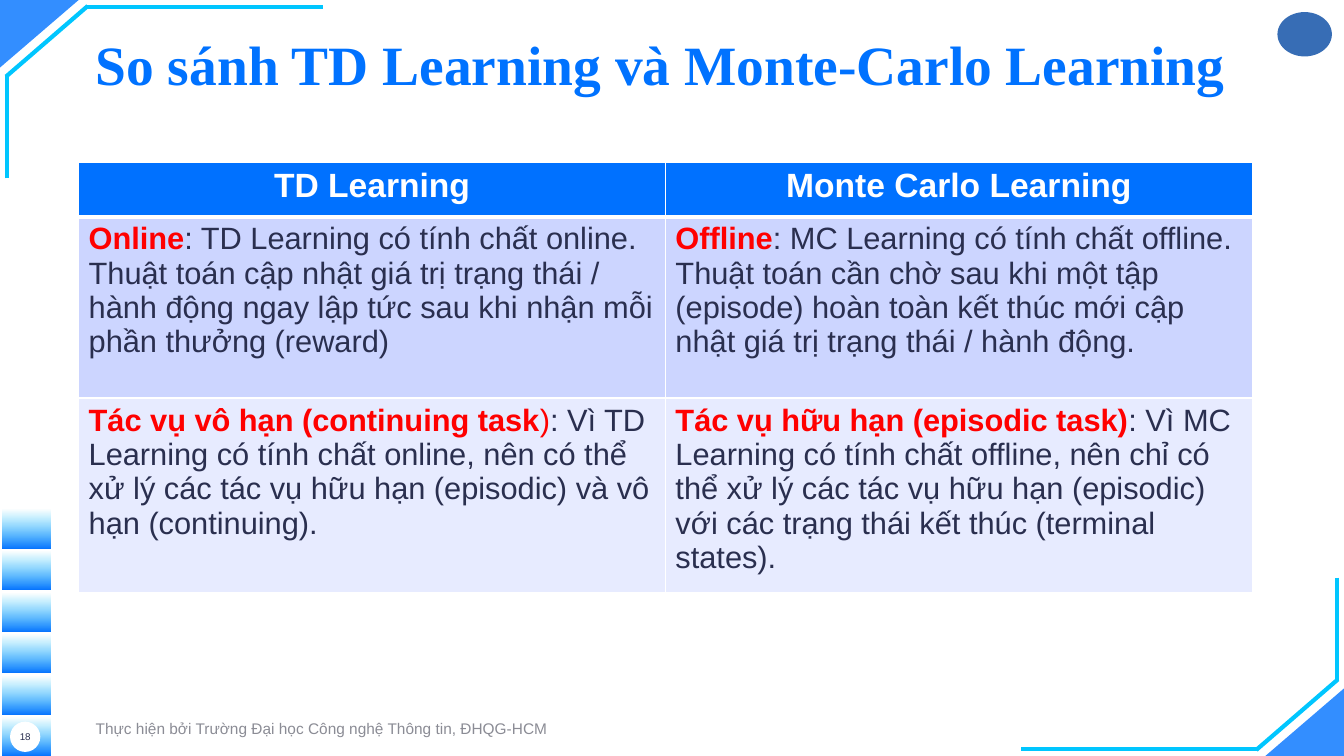
from lxml import etree
from pptx import Presentation
from pptx.dml.color import RGBColor
from pptx.enum.shapes import MSO_CONNECTOR, MSO_SHAPE
from pptx.enum.text import MSO_ANCHOR, PP_ALIGN
from pptx.oxml.ns import qn
from pptx.util import Inches, Pt

SLIDE_W, SLIDE_H = 13.33, 7.5
BLUE = RGBColor(0x00, 0x72, 0xFF)
CYAN = RGBColor(0x00, 0xC6, 0xFF)
LOGO_BLUE = RGBColor(0x37, 0x6D, 0xB5)
WHITE = RGBColor(0xFF, 0xFF, 0xFF)
INK = RGBColor(0x2A, 0x2F, 0x4F)
GREY = RGBColor(0x8B, 0x8C, 0x95)
RED = RGBColor(0xFF, 0x00, 0x00)
HEADER_FILL = RGBColor(0x00, 0x71, 0xFF)
ROW_FILLS = [RGBColor(0xCC, 0xD5, 0xFF), RGBColor(0xE7, 0xEB, 0xFF)]

HEADINGS = ["TD Learning", "Monte Carlo Learning"]
# Each cell is a list of (text, colour, bold) runs.
COMPARISON = [
    [
        [("Online", RED, True),
         (": TD Learning có tính chất online. Thuật toán cập nhật giá trị trạng thái / "
          "hành động ngay lập tức sau khi nhận mỗi phần thưởng (reward)", INK, False)],
        [("Offline", RED, True),
         (": MC Learning có tính chất offline. Thuật toán cần chờ sau khi một tập (episode) "
          "hoàn toàn kết thúc mới cập nhật giá trị trạng thái / hành động.", INK, False)],
    ],
    [
        [("Tác vụ vô hạn (continuing task", RED, True),
         (")", RED, False),
         (": Vì TD Learning có tính chất online, nên có thể xử lý các tác vụ hữu hạn "
          "(episodic) và vô hạn (continuing).", INK, False)],
        [("Tác vụ hữu hạn (episodic task)", RED, True),
         (": Vì MC Learning có tính chất offline, nên chỉ có thể xử lý các tác vụ hữu hạn "
          "(episodic) với các trạng thái kết thúc (terminal states).", INK, False)],
    ],
]


def add_plain_shape(slide, kind, left, top, width, height, color=None):
    shape = slide.shapes.add_shape(
        kind, Inches(left), Inches(top), Inches(width), Inches(height))
    shape.shadow.inherit = False
    shape.line.fill.background()
    if color is not None:
        shape.fill.solid()
        shape.fill.fore_color.rgb = color
    return shape


def set_alpha(srgb, percent):
    etree.SubElement(srgb, qn("a:alpha")).set("val", str(percent * 1000))


def add_run(paragraph, text, size, color, bold=False, font="Arial"):
    run = paragraph.add_run()
    run.text = text
    run.font.name = font
    run.font.size = Pt(size)
    run.font.bold = bold
    run.font.color.rgb = color


def add_label(slide, left, top, width, height, text, size, color,
              bold=False, font="Arial", align=PP_ALIGN.LEFT):
    label = slide.shapes.add_textbox(
        Inches(left), Inches(top), Inches(width), Inches(height))
    frame = label.text_frame
    frame.word_wrap = True
    frame.vertical_anchor = MSO_ANCHOR.MIDDLE
    paragraph = frame.paragraphs[0]
    paragraph.alignment = align
    add_run(paragraph, text, size, color, bold, font)
    return paragraph


def add_corner(slide, corner_x, corner_y, inward):
    """Draw a corner triangle and bracket; inward is 1 at top left, -1 at bottom right."""
    width, height = 0.78, 0.67
    left, top = (corner_x, corner_y) if inward > 0 else (corner_x - width, corner_y - height)
    triangle = add_plain_shape(
        slide, MSO_SHAPE.ISOSCELES_TRIANGLE, left, top, width, height, BLUE)
    triangle.adjustments[0] = 1
    triangle.rotation = 180 if inward > 0 else 0
    set_alpha(next(triangle.element.spPr.iter(qn("a:srgbClr"))), 80)

    bracket = [((3.2, 0.07), (0.85, 0.07)),
               ((0.87, 0.06), (0.06, 0.76)),
               ((0.07, 1.77), (0.07, 0.74))]
    for (x1, y1), (x2, y2) in bracket:
        line = slide.shapes.add_connector(
            MSO_CONNECTOR.STRAIGHT,
            Inches(corner_x + inward * x1), Inches(corner_y + inward * y1),
            Inches(corner_x + inward * x2), Inches(corner_y + inward * y2))
        line.line.color.rgb = CYAN
        line.line.width = Pt(3)
        etree.SubElement(line.element.spPr, qn("a:effectLst"))


def add_side_bars(slide, left, top, width, height, count=6, bar_height=0.38):
    """Stack bars that fade upwards, spread evenly over the box."""
    step = (height - bar_height) / (count - 1)
    for i in range(count):
        bar = add_plain_shape(
            slide, MSO_SHAPE.RECTANGLE, left, top + i * step, width, bar_height)
        bar.fill.gradient()
        bar.fill.gradient_angle = 90
        for stop, color in zip(bar.fill.gradient_stops, (BLUE, CYAN)):
            stop.color.rgb = color
        set_alpha(list(bar.element.spPr.iter(qn("a:srgbClr")))[-1], 0)


def add_page_number(slide, left, top, size, number):
    inset = 0.04
    add_plain_shape(slide, MSO_SHAPE.OVAL, left + inset, top + inset,
                    size - 2 * inset, size - 2 * inset, WHITE)
    add_label(slide, left, top, size, size, number, 7, INK, align=PP_ALIGN.CENTER)


def set_borders(cell, bottom_width):
    properties = cell._tc.get_or_add_tcPr()
    for side, width in (("L", 1), ("R", 1), ("T", 1), ("B", bottom_width)):
        border = etree.SubElement(properties, qn(f"a:ln{side}"), w=str(Pt(width)))
        fill = etree.SubElement(border, qn("a:solidFill"))
        etree.SubElement(fill, qn("a:srgbClr"), val=str(WHITE))


def fill_cell(cell, runs, size, fill, align=PP_ALIGN.LEFT, bottom_width=1):
    set_borders(cell, bottom_width)
    cell.fill.solid()
    cell.fill.fore_color.rgb = fill
    paragraph = cell.text_frame.paragraphs[0]
    paragraph.alignment = align
    for text, color, bold in runs:
        add_run(paragraph, text, size, color, bold)


def add_comparison_table(slide, left, top, width, height, header_height=0.54):
    rows, columns = len(COMPARISON) + 1, len(HEADINGS)
    table = slide.shapes.add_table(
        rows, columns, Inches(left), Inches(top), Inches(width), Inches(height)).table
    for column in table.columns:
        column.width = Inches(width / columns)
    table.rows[0].height = Inches(header_height)
    for c, heading in enumerate(HEADINGS):
        fill_cell(table.cell(0, c), [(heading, WHITE, True)], 24, HEADER_FILL,
                  PP_ALIGN.CENTER, bottom_width=3)
    for r, (row, fill) in enumerate(zip(COMPARISON, ROW_FILLS), start=1):
        table.rows[r].height = Inches((height - header_height) / len(COMPARISON))
        for c, runs in enumerate(row):
            fill_cell(table.cell(r, c), runs, 22, fill)


def main():
    deck = Presentation()
    deck.slide_width, deck.slide_height = Inches(SLIDE_W), Inches(SLIDE_H)
    slide = deck.slides.add_slide(deck.slide_layouts[6])

    add_corner(slide, 0, 0, 1)
    add_corner(slide, SLIDE_W, SLIDE_H, -1)
    add_side_bars(slide, 0.02, 5.06, 0.48, 2.44)
    add_plain_shape(slide, MSO_SHAPE.OVAL, 12.67, 0.12, 0.54, 0.44, LOGO_BLUE)
    add_page_number(slide, 0.06, 7.12, 0.38, "18")
    title = add_label(slide, 0.85, 0.13, 11.57, 0.86,
                      "So sánh TD Learning và Monte-Carlo Learning", 39.6, BLUE,
                      bold=True, font="Times New Roman")
    title.line_spacing = 1.2
    add_label(slide, 0.85, 7.08, 4.72, 0.29,
              "Thực hiện bởi Trường Đại học Công nghệ Thông tin, ĐHQG-HCM", 11, GREY)
    add_comparison_table(slide, 0.78, 1.61, 11.64, 4.14)
    deck.save("out.pptx")


if __name__ == "__main__":
    main()
